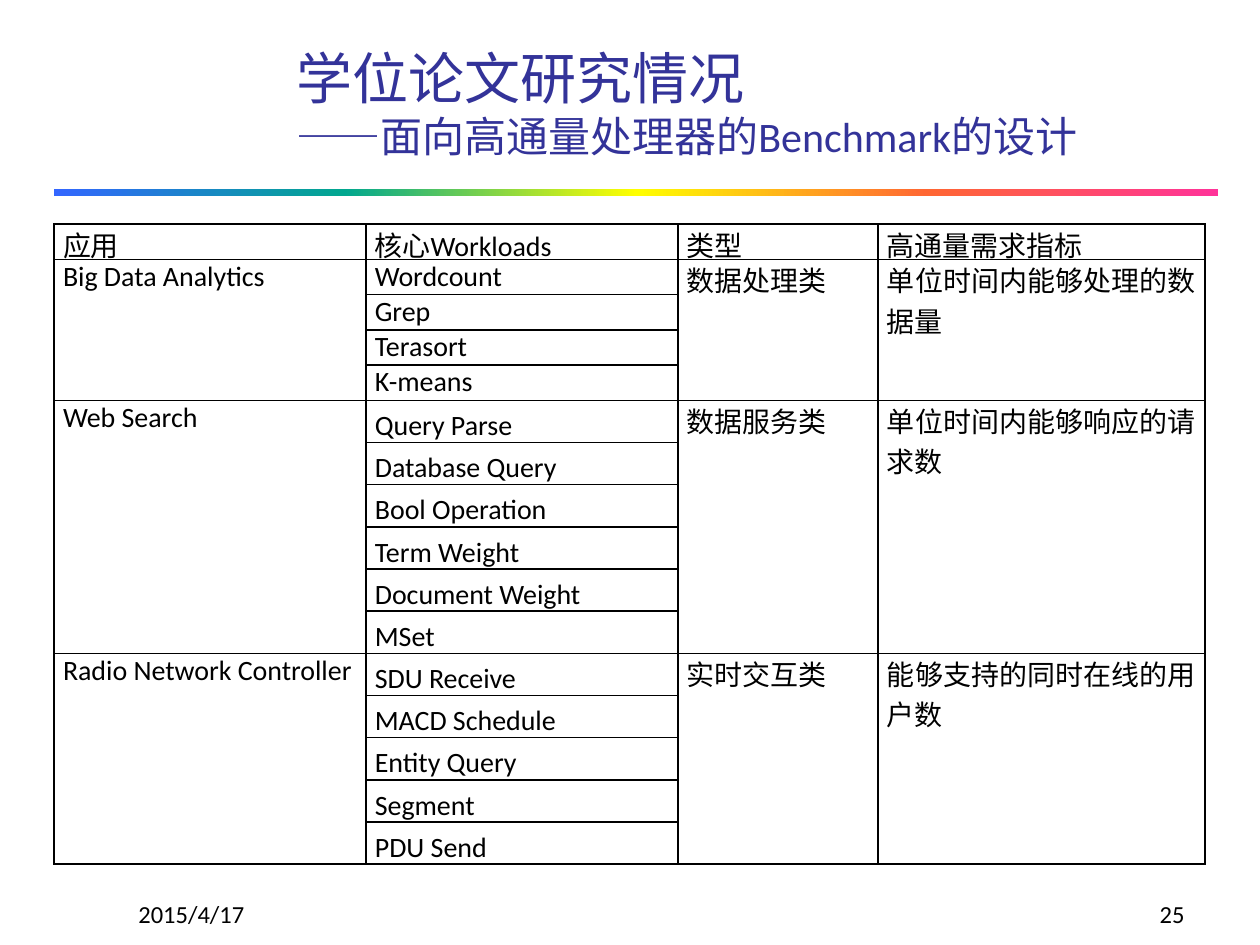
from lxml import etree
from pptx import Presentation
from pptx.dml.color import RGBColor
from pptx.enum import shapes, text
from pptx.oxml import ns
from pptx.util import Cm, Pt

COLORS = {"title": "333399", "ink": "000000", "paper": "FFFFFF"}
RAINBOW = ["3366FF", "01A78F", "FFFF00", "FF6633", "FF3399"]
FONT = "Calibri"
HEADERS = ["应用", "核心Workloads", "类型", "高通量需求指标"]
# application, workloads, type, metric, line spacing, workload anchor
GROUPS = [
    ("Big Data Analytics", ["Wordcount", "Grep", "Terasort", "K-means"],
     "数据处理类", "单位时间内能够处理的数据量", 1.0, text.MSO_ANCHOR.TOP),
    ("Web Search", ["Query Parse", "Database Query", "Bool Operation",
                    "Term Weight", "Document Weight", "MSet"],
     "数据服务类", "单位时间内能够响应的请求数", 1.25, text.MSO_ANCHOR.TOP),
    ("Radio Network Controller", ["SDU Receive", "MACD Schedule", "Entity Query",
                                  "Segment", "PDU Send"],
     "实时交互类", "能够支持的同时在线的用户数", 1.25, text.MSO_ANCHOR.MIDDLE),
]


def add_run(p, words, size, color="ink"):
    r = p.add_run()
    r.text = words
    r.font.size = Pt(size)
    r.font.name = FONT
    r.font.color.rgb = RGBColor.from_string(COLORS[color])


def sub(parent, tag, **attrs):
    return etree.SubElement(parent, ns.qn(tag), **attrs)


def add_title(s, left, top, width, height):
    sp = s.shapes.title
    sp.left, sp.top, sp.width, sp.height = left, top, width, height
    tf = sp.text_frame
    tf.word_wrap = True
    tf.auto_size = text.MSO_AUTO_SIZE.NONE
    tf.vertical_anchor = text.MSO_ANCHOR.BOTTOM
    p = tf.paragraphs[0]
    p.alignment = text.PP_ALIGN.LEFT
    add_run(p, "学位论文研究情况", 32, "title")
    p.add_line_break()
    add_run(p, "——面向高通量处理器的Benchmark的设计", 24, "title")


def add_rainbow_bar(s, left, top, width, height):
    sp = s.shapes.add_shape(shapes.MSO_SHAPE.RECTANGLE, left, top, width, height)
    sp.shadow.inherit = False
    sp.line.fill.background()
    sp.fill.gradient()
    sp.fill.gradient_angle = 0
    stops = sp.fill._fill._gradFill.find(ns.qn("a:gsLst"))
    for old in list(stops):
        stops.remove(old)
    step = 100000 // (len(RAINBOW) - 1)
    for i, color in enumerate(RAINBOW):
        sub(sub(stops, "a:gs", pos=str(i * step)), "a:srgbClr", val=color)


def style_cell(cell):
    cell.margin_left = cell.margin_right = Cm(0.18)
    cell.margin_top = cell.margin_bottom = 0
    tcPr = cell._tc.get_or_add_tcPr()
    for side in ("a:lnL", "a:lnR", "a:lnT", "a:lnB"):
        ln = sub(tcPr, side, w=str(Pt(1)))
        sub(sub(ln, "a:solidFill"), "a:srgbClr", val=COLORS["ink"])
    cell.fill.solid()
    cell.fill.fore_color.rgb = RGBColor.from_string(COLORS["paper"])


def write_cell(cell, words, spacing=1.0, anchor=text.MSO_ANCHOR.TOP):
    cell.vertical_anchor = anchor
    p = cell.text_frame.paragraphs[0]
    p.alignment = text.PP_ALIGN.JUSTIFY
    p.line_spacing = spacing
    add_run(p, words, 16)


def add_workload_table(s, left, top, width, height):
    n_rows = 1 + sum(len(group[1]) for group in GROUPS)
    table = s.shapes.add_table(n_rows, len(HEADERS), left, top, width, height).table
    for col, share in zip(table.columns, (0.271, 0.271, 0.174, 0.284)):
        col.width = int(width * share)
    for i, row in enumerate(table.rows):
        row.height = Cm(0.71 if i < 5 else 0.85)
    for cell in table.iter_cells():
        style_cell(cell)
    for c, words in enumerate(HEADERS):
        write_cell(table.cell(0, c), words)

    # One block of merged rows per application
    first = 1
    for app, workloads, kind, metric, spacing, anchor in GROUPS:
        last = first + len(workloads) - 1
        for c, words in ((0, app), (2, kind), (3, metric)):
            table.cell(first, c).merge(table.cell(last, c))
            write_cell(table.cell(first, c), words)
        for i, workload in enumerate(workloads):
            write_cell(table.cell(first + i, 1), workload, spacing, anchor)
        first = last + 1


def add_footer(s, left, top, width, height):
    box_width = Cm(5.28)
    for x, words, align in (
            (left, "2015/4/17", text.PP_ALIGN.LEFT),
            (left + width - box_width, "25", text.PP_ALIGN.RIGHT)):
        tf = s.shapes.add_textbox(x, top, box_width, height).text_frame
        tf.word_wrap = True
        tf.vertical_anchor = text.MSO_ANCHOR.BOTTOM
        p = tf.paragraphs[0]
        p.alignment = align
        add_run(p, words, 14)


def main():
    prs = Presentation()
    prs.slide_width, prs.slide_height = Cm(25.4), Cm(19.05)
    s = prs.slides.add_slide(prs.slide_layouts[5])
    add_rainbow_bar(s, Cm(1.09), Cm(3.81), Cm(23.47), Cm(0.15))
    add_title(s, Cm(5.72), Cm(0.2), Cm(19.13), Cm(3.18))
    add_footer(s, Cm(2.54), Cm(17.58), Cm(21.59), Cm(1.27))
    add_workload_table(s, Cm(1.09), Cm(4.52), Cm(23.2), Cm(12.9))
    prs.save("out.pptx")


if __name__ == "__main__":
    main()
